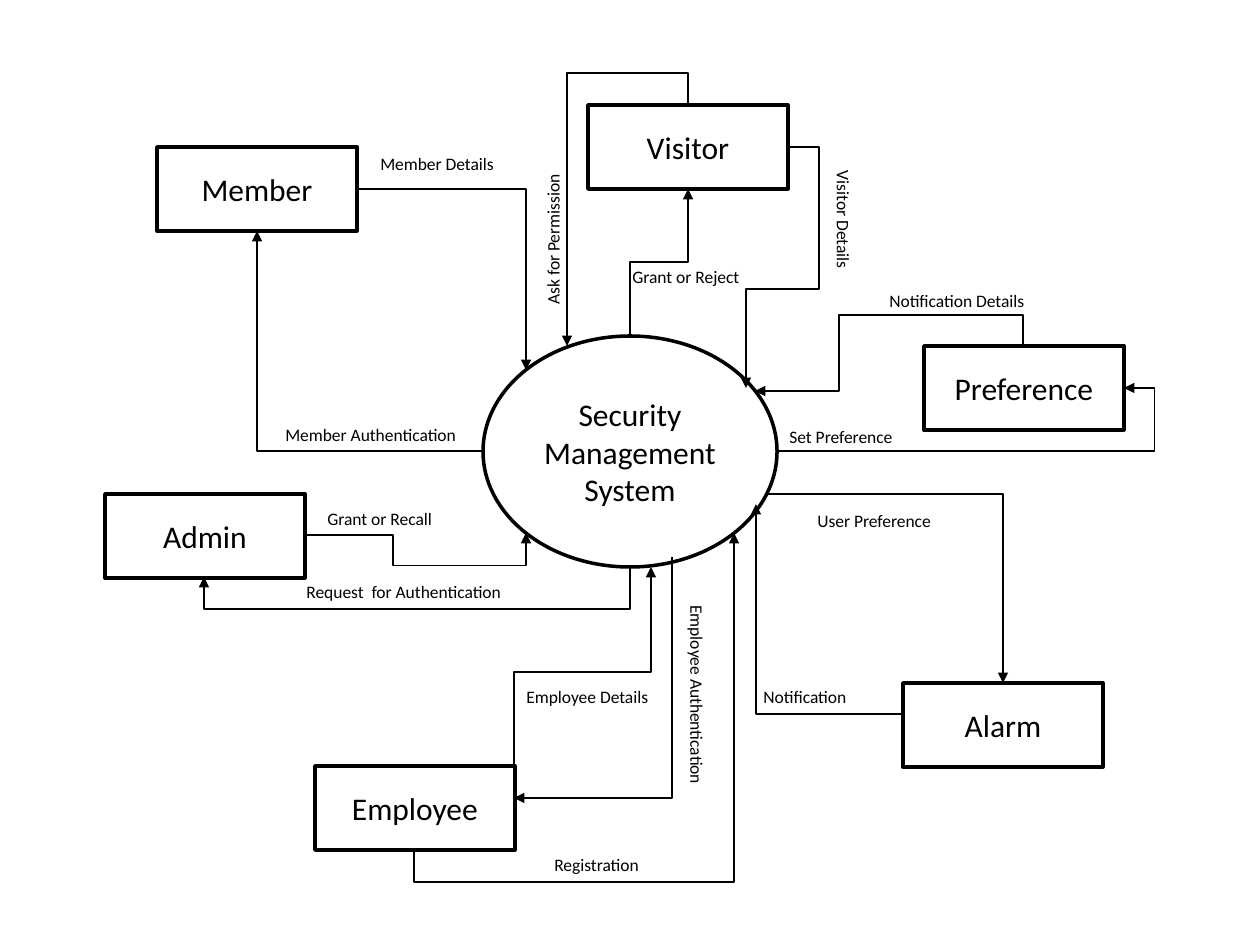
from typing import NamedTuple

from lxml import etree
from pptx import Presentation
from pptx import util as u
from pptx.enum import shapes, text
from pptx.dml.color import RGBColor
from pptx.oxml.ns import qn

PX = u.Inches(1) / 126
COLORS = {"ink": "000000", "paper": "FFFFFF"}
FONT = "Calibri"
BOX_W, BOX_H, LABEL_H = 200, 84, 34


class Node(NamedTuple):
    caption: str
    left: int
    top: int
    width: int = BOX_W
    height: int = BOX_H
    outline: shapes.MSO_SHAPE = shapes.MSO_SHAPE.RECTANGLE


class Flow(NamedTuple):
    """A data flow: its label, the label box and the corners of its arrow."""
    caption: str
    left: int
    top: int
    width: int
    route: tuple
    rotation: int = 0


NODES = [
    Node("Security\nManagement\nSystem", 483, 336, 294, 231, shapes.MSO_SHAPE.OVAL),
    Node("Member", 157, 147),
    Node("Admin", 105, 494),
    Node("Visitor", 588, 105),
    Node("Employee", 315, 766),
    Node("Alarm", 903, 683),
    Node("Preference", 924, 346),
]

FLOWS = [
    # Member
    Flow("Member Details", 368, 147, 140, ((357, 189), (526, 189), (526, 370))),
    Flow("Member Authentication", 273, 418, 199, ((483, 451), (257, 451), (257, 231))),
    # Admin
    Flow("Grant or Recall", 315, 502, 132,
         ((304, 535), (393, 535), (393, 566), (526, 566), (526, 533))),
    Flow("Request  for Authentication", 294, 575, 224,
         ((630, 567), (630, 609), (204, 609), (204, 577))),
    # Visitor
    Flow("Ask for Permission", 474, 221, 158,
         ((688, 105), (688, 73), (567, 73), (567, 346)), 270),
    Flow("Grant or Reject", 620, 260, 135,
         ((630, 336), (630, 262), (688, 262), (688, 189))),
    Flow("Visitor Details", 781, 204, 125,
         ((788, 147), (819, 147), (819, 289), (746, 289), (746, 388)), 90),
    # Preference
    Flow("Notification Details", 877, 284, 163,
         ((1023, 346), (1023, 315), (839, 315), (839, 391), (755, 391))),
    Flow("Set Preference", 777, 420, 131,
         ((777, 451), (1155, 451), (1155, 388), (1124, 388))),
    # Alarm
    Flow("User Preference", 805, 504, 141, ((766, 494), (1003, 494), (1003, 683))),
    Flow("Notification", 751, 680, 110, ((903, 714), (756, 714), (756, 504))),
    # Employee
    Flow("Employee Details", 514, 680, 149,
         ((514, 777), (514, 672), (651, 672), (651, 567))),
    Flow("Employee Authentication", 593, 680, 208,
         ((672, 557), (672, 798), (514, 798)), 90),
    Flow("Registration", 542, 848, 112,
         ((414, 850), (414, 882), (734, 882), (734, 533))),
]


def emu(px: float) -> int:
    return round(px * PX)


def rgb(name: str) -> RGBColor:
    return RGBColor.from_string(COLORS[name])


def write(frame, content: str, *, size: int, align=text.PP_ALIGN.LEFT,
          anchor=text.MSO_ANCHOR.TOP, wrap: bool = True) -> None:
    frame.word_wrap = wrap
    frame.vertical_anchor = anchor
    frame.text = content
    for paragraph in frame.paragraphs:
        paragraph.alignment = align
        font = paragraph.font
        for run in paragraph.runs:
            font = run.font
            font.name, font.size = FONT, u.Pt(size)
            font.color.rgb = rgb("ink")


def draw_node(slide, node: Node) -> None:
    entity = slide.shapes.add_shape(
        node.outline, *map(emu, (node.left, node.top, node.width, node.height)))
    entity.shadow.inherit = False
    entity.fill.solid()
    entity.fill.fore_color.rgb = rgb("paper")
    entity.line.color.rgb = rgb("ink")
    entity.line.width = u.Pt(2)
    write(entity.text_frame, node.caption, size=18,
          align=text.PP_ALIGN.CENTER, anchor=text.MSO_ANCHOR.MIDDLE)


def draw_arrow(slide, route: tuple) -> None:
    """Draw an elbow connector; a route that starts vertically is turned by 90°."""
    (x1, y1), (x2, y2) = route[0], route[-1]
    turned = route[0][0] == route[1][0]
    # Run and rise along the connector's own axes
    run, rise = (y2 - y1, x1 - x2) if turned else (x2 - x1, y2 - y1)
    width, height = abs(run), abs(rise)
    arrow = slide.shapes.add_connector(shapes.MSO_CONNECTOR.ELBOW, 0, 0, 0, 0)
    arrow.left, arrow.top = emu((x1 + x2 - width) / 2), emu((y1 + y2 - height) / 2)
    arrow.width, arrow.height = emu(width), emu(height)
    arrow.line.color.rgb = rgb("ink")
    arrow.line.width = u.Pt(0.75)

    properties = arrow._element.spPr
    frame = properties.find(qn("a:xfrm"))
    angle = 90 if turned else 0
    flips = {"flipH": run < 0, "flipV": rise < 0}
    if len(route) == 3 and all(flips.values()):
        angle, flips = angle + 180, {}
    if angle:
        frame.set("rot", str(angle * 60000))
    for flip, needed in flips.items():
        if needed:
            frame.set(flip, "1")

    # Each inner bend is a share of the run, then of the rise
    geometry = properties.find(qn("a:prstGeom"))
    geometry.set("prst", f"bentConnector{len(route) - 1}")
    guides = geometry.find(qn("a:avLst"))
    for number, (x, y) in enumerate(route[1:-2], start=1):
        along, across = (y - y1, x1 - x) if turned else (x - x1, y - y1)
        share = along / run if number == 1 else across / rise
        etree.SubElement(guides, qn("a:gd"), name=f"adj{number}",
                         fmla=f"val {round(share * 100000)}")

    etree.SubElement(properties.find(qn("a:ln")), qn("a:tailEnd"), type="triangle")
    etree.SubElement(properties, qn("a:effectLst"))


def draw_label(slide, flow: Flow) -> None:
    label = slide.shapes.add_textbox(
        *map(emu, (flow.left, flow.top, flow.width, LABEL_H)))
    label.rotation = flow.rotation
    write(label.text_frame, flow.caption, size=10, wrap=False)
    label.text_frame.auto_size = text.MSO_AUTO_SIZE.SHAPE_TO_FIT_TEXT


def main() -> None:
    deck = Presentation()
    deck.slide_width, deck.slide_height = u.Inches(10), u.Inches(7.5)
    slide = deck.slides.add_slide(deck.slide_layouts[6])
    for node in NODES:
        draw_node(slide, node)
    for flow in FLOWS:
        draw_arrow(slide, flow.route)
        draw_label(slide, flow)
    deck.save("out.pptx")


if __name__ == "__main__":
    main()
